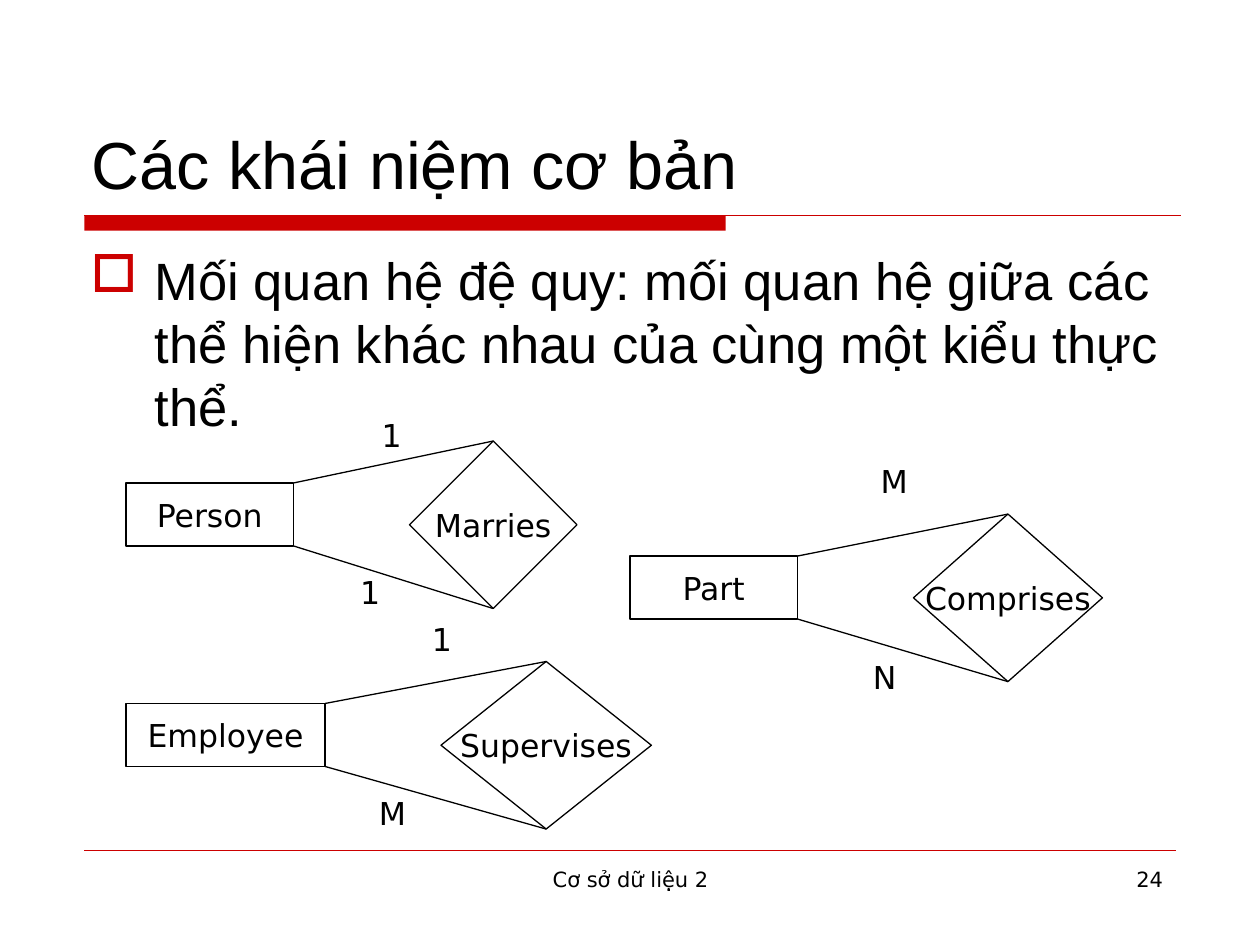
from lxml import etree
from pptx import Presentation
from pptx import util as u
from pptx.dml.color import RGBColor
from pptx.enum import shapes, text
from pptx.oxml.ns import qn

RED, BLACK = "CC0000", "000000"
SANS, ARIAL = "DejaVu Sans", "Arial"
LEFT, MID, RIGHT = text.PP_ALIGN.LEFT, text.PP_ALIGN.CENTER, text.PP_ALIGN.RIGHT


def color(fmt, value):
    """Give a fill, line fill or font colour its hex value."""
    if hasattr(fmt, "solid"):
        fmt.solid()
        fmt = fmt.fore_color
    else:
        fmt = fmt.color
    fmt.rgb = RGBColor.from_string(value)


def write(shape, words, size, name=SANS, align=LEFT, wrap=True,
          anchor=text.MSO_ANCHOR.TOP, fit=text.MSO_AUTO_SIZE.NONE):
    frame = shape.text_frame
    look = {"word_wrap": wrap, "auto_size": fit, "vertical_anchor": anchor}
    for key, value in look.items():
        setattr(frame, key, value)
    para = frame.paragraphs[0]
    para.alignment = align
    run = para.add_run()
    run.text = words
    for key, value in {"size": u.Pt(size), "name": name}.items():
        setattr(run.font, key, value)
    color(run.font, BLACK)
    return para


def label(slide, box, words, size=18, **look):
    area = slide.shapes.add_textbox(*map(u.Inches, box))
    return write(area, words, size, **look)


def join(slide, start, end, hue=BLACK, width=0.75):
    ends = map(u.Inches, (*start, *end))
    line = slide.shapes.add_connector(shapes.MSO_CONNECTOR.STRAIGHT, *ends)
    color(line.line.fill, hue)
    line.line.width = u.Pt(width)
    etree.SubElement(line._element.spPr, qn("a:effectLst"))
    return line


def node(slide, kind, box, words):
    shape = slide.shapes.add_shape(kind, *map(u.Inches, box))
    shape.shadow.inherit = False
    shape.fill.background()
    color(shape.line.fill, BLACK)
    shape.line.width = u.Pt(0.75)
    write(shape, words, 18, align=MID, wrap=False,
          anchor=text.MSO_ANCHOR.MIDDLE)
    return shape


def head(slide, box):
    """Title above a thick and thin red rule."""
    x, y, w, h = box
    title = slide.shapes.title
    places = dict(zip(("left", "top", "width", "height"), map(u.Inches, box)))
    for key, value in places.items():
        setattr(title, key, value)
    write(title, "Các khái niệm cơ bản", 38, ARIAL,
          anchor=text.MSO_ANCHOR.BOTTOM)

    rule = y + h + 0.05
    bar = slide.shapes.add_shape(
        shapes.MSO_SHAPE.RECTANGLE,
        *map(u.Inches, (x + 0.04, rule, 5.09, 0.12)))
    bar.shadow.inherit = False
    color(bar.fill, RED)
    bar.line.fill.background()
    join(slide, (x + 0.04, rule), (x + w - 0.01, rule), RED)


def body(slide, box):
    """One bulleted paragraph with a hollow red square."""
    para = label(slide, box, "Mối quan hệ đệ quy: mối quan hệ giữa các thể hiện "
                 "khác nhau của cùng một kiểu thực thể.", 30, name=ARIAL)
    props = para._p.get_or_add_pPr()
    indent = u.Inches(0.51)
    props.set("marL", str(indent))
    props.set("indent", str(-indent))
    tint = etree.SubElement(props, qn("a:buClr"))
    etree.SubElement(tint, qn("a:srgbClr"), val=RED)
    etree.SubElement(props, qn("a:buChar"), char="□")


def loop(slide, box, names, wide, tags):
    """Entity tied twice to its own relationship, with a tag on each tie."""
    x, y, w, h = box
    entity, link = names
    side, span = wide
    top = y + 1 / 3
    node(slide, shapes.MSO_SHAPE.RECTANGLE, (x, top, side, 0.5), entity)
    gem = node(slide, shapes.MSO_SHAPE.DIAMOND, (x + w - span, y, span, h), link)
    tip = x + w - span / 2
    for corner, end, site in ((top, y, 0), (top + 0.5, y + h, 2)):
        tie = join(slide, (x + side, corner), (tip, end))
        tie.end_connect(gem, site)
    for mark, dx, dy in tags:
        label(slide, (x + dx, y + dy, 0.4, 0.4), mark, wrap=False,
              fit=text.MSO_AUTO_SIZE.SHAPE_TO_FIT_TEXT)


def foot(slide, box):
    """Thin rule, course name and page number."""
    x, y, w, h = box
    join(slide, (x, y), (x + w, y), RED, 0.25)
    low = y + 0.08
    label(slide, (x + 2.75, low, 3.17, h), "Cơ sở dữ liệu 2", 12, align=MID)
    label(slide, (x + w - 2.17, low, 2.17, h), "24", 12, align=RIGHT)


def main():
    deck = Presentation()
    deck.slide_width, deck.slide_height = u.Inches(10), u.Inches(7.5)
    slide = deck.slides.add_slide(deck.slide_layouts[5])
    head(slide, (0.63, 0.33, 8.75, 1.33))
    body(slide, (0.62, 1.92, 8.75, 4.67))

    # Box, names, widths of entity and relationship, tags with offsets
    loops = [
        ((1, 3.5, 3.58, 1.33), ("Person", "Marries"), (1.33, 1.33),
         [("1", 1.93, -0.25), ("1", 1.76, 1)]),
        ((1, 5.25, 4.17, 1.33), ("Employee", "Supervises"), (1.58, 1.67),
         [("1", 2.33, -0.38), ("M", 1.91, 1)]),
        ((5, 4.08, 3.75, 1.33), ("Part", "Comprises"), (1.33, 1.5),
         [("M", 1.89, -0.46), ("N", 1.83, 1.09)]),
    ]
    for item in loops:
        loop(slide, *item)

    foot(slide, (0.67, 6.75, 8.66, 0.52))
    deck.save("out.pptx")


if __name__ == "__main__":
    main()
